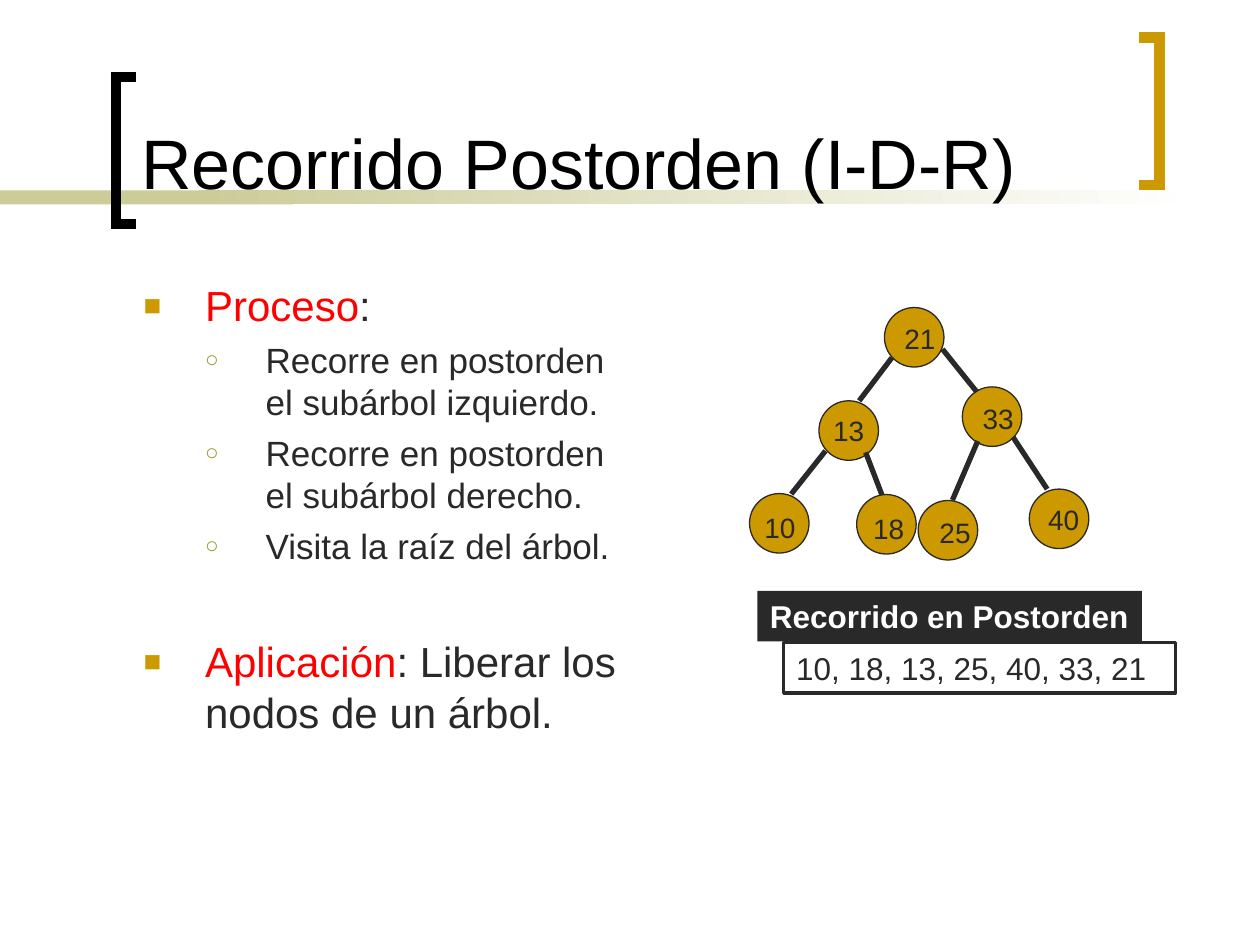
from lxml import etree
from pptx import Presentation
from pptx.dml.color import RGBColor
from pptx.enum import shapes, text
from pptx.oxml import ns
from pptx.util import Cm, Pt

BLACK = RGBColor(0x00, 0x00, 0x00)
WHITE = RGBColor(0xFF, 0xFF, 0xFF)
DARK = RGBColor(0x29, 0x29, 0x29)
GOLD = RGBColor(0xCC, 0x99, 0x00)
OLIVE = RGBColor(0x99, 0x99, 0x33)
SAND = RGBColor(0xCC, 0xCC, 0x99)
RED = RGBColor(0xFF, 0x00, 0x00)

RECTANGLE = shapes.MSO_SHAPE.RECTANGLE
NODE_SIZE = 1.2

# Value: node left and top, label left and top (cm); no label place = text in the node
NODES = {
    "21": ((17.83, 6.2), (17.98, 6.35)),
    "13": ((16.51, 8.08), None),
    "33": ((19.4, 7.8), (19.56, 7.98)),
    "10": ((15.11, 9.95), (15.16, 10.16)),
    "18": ((17.27, 9.97), (17.35, 10.19)),
    "25": ((18.51, 10.09), (18.69, 10.26)),
    "40": ((20.75, 9.86), (20.88, 10.01)),
}

# Branches from parent to child: x1, y1, x2, y2 (cm)
BRANCHES = [
    (17.98, 7.21, 17.32, 8.08),
    (16.64, 9.09, 15.95, 9.96),
    (19.0, 7.04, 19.69, 7.9),
    (20.42, 8.81, 21.11, 9.86),
    (17.45, 9.12, 17.78, 9.98),
    (19.71, 8.89, 19.2, 10.08),
]

# Level, space before (pt), coloured runs
OUTLINE = [
    (0, 6, [("Proceso", RED), (":", DARK)]),
    (1, 5, [("Recorre en postorden el subárbol izquierdo.", DARK)]),
    (1, 5, [("Recorre en postorden el subárbol derecho.", DARK)]),
    (1, 5, [("Visita la raíz del árbol.", DARK)]),
    (0, 39.6, [("Aplicación", RED), (": Liberar los nodos de un árbol.", DARK)]),
]

# Per level: text size, left margin, hanging indent (cm), bullet, colour, size in %
LEVELS = [
    (24, 1.24, 1.24, "■", GOLD, 70),
    (20, 2.46, 1.22, "○", OLIVE, 65),
]


def add_run(paragraph, content, size=16, color=DARK, bold=False):
    run = paragraph.add_run()
    run.text = content
    run.font.name = "Arial"
    run.font.size = Pt(size)
    run.font.bold = bold
    run.font.color.rgb = color


def write(shape, content, align=text.PP_ALIGN.LEFT, anchor=text.MSO_ANCHOR.TOP,
          wrap=True, **font):
    frame = shape.text_frame
    frame.word_wrap = wrap
    frame.auto_size = text.MSO_AUTO_SIZE.NONE
    frame.vertical_anchor = anchor
    paragraph = frame.paragraphs[0]
    paragraph.alignment = align
    add_run(paragraph, content, **font)


def place(shape, left, top, width, height):
    shape.left, shape.top = Cm(left), Cm(top)
    shape.width, shape.height = Cm(width), Cm(height)


def add_box(slide, kind, left, top, width, height, fill=None, line=None, weight=0.75):
    shape = slide.shapes.add_shape(kind, Cm(left), Cm(top), Cm(width), Cm(height))
    shape.shadow.inherit = False
    if fill is None:
        shape.fill.background()
    else:
        shape.fill.solid()
        shape.fill.fore_color.rgb = fill
    if line is None:
        shape.line.fill.background()
    else:
        shape.line.color.rgb = line
        shape.line.width = Pt(weight)
    return shape


def add_bracket(slide, open_x, spine_x, top, color):
    bottom = top + 2.97
    builder = slide.shapes.build_freeform(Cm(open_x), Cm(top))
    corners = [(spine_x, top), (spine_x, bottom), (open_x, bottom)]
    builder.add_line_segments([(Cm(x), Cm(y)) for x, y in corners], close=False)
    bracket = builder.convert_to_shape()
    bracket.shadow.inherit = False
    bracket.fill.background()
    bracket.line.color.rgb = color
    bracket.line.width = Pt(6)
    line = bracket.element.spPr.find(ns.qn("a:ln"))
    etree.SubElement(line, ns.qn("a:miter"), lim="800000")


def add_branch(slide, x1, y1, x2, y2):
    branch = slide.shapes.add_connector(
        shapes.MSO_CONNECTOR.STRAIGHT, Cm(x1), Cm(y1), Cm(x2), Cm(y2))
    branch.line.color.rgb = DARK
    branch.line.width = Pt(3)
    etree.SubElement(branch.element.spPr, ns.qn("a:effectLst"))


def set_bullet(paragraph, left, hanging, character, color, percent):
    properties = paragraph._p.get_or_add_pPr()
    properties.set("marL", str(Cm(left)))
    properties.set("indent", str(-Cm(hanging)))
    bullet_color = etree.SubElement(properties, ns.qn("a:buClr"))
    etree.SubElement(bullet_color, ns.qn("a:srgbClr"), val=str(color))
    etree.SubElement(properties, ns.qn("a:buSzPct"), val=str(percent * 1000))
    etree.SubElement(properties, ns.qn("a:buFont"), typeface="Arial")
    etree.SubElement(properties, ns.qn("a:buChar"), char=character)


def add_decoration(slide):
    add_box(slide, RECTANGLE, 0, 3.84, 5.92, 0.28, fill=SAND)
    fade = add_box(slide, RECTANGLE, 4.01, 3.84, 20.12, 0.28, fill=SAND)
    fade.fill.gradient()
    fade.fill.gradient_angle = 0
    for stop, color in zip(fade.fill.gradient_stops, (SAND, WHITE)):
        stop.color.rgb = color
    add_bracket(slide, 2.74, 2.34, 1.55, BLACK)
    add_bracket(slide, 22.96, 23.37, 0.76, GOLD)


def fill_outline(body):
    place(body, 2.64, 5.51, 10.44, 11.43)
    frame = body.text_frame
    frame.auto_size = text.MSO_AUTO_SIZE.NONE
    for index, (level, space, runs) in enumerate(OUTLINE):
        paragraph = frame.add_paragraph() if index else frame.paragraphs[0]
        size, *bullet = LEVELS[level]
        paragraph.level = level
        paragraph.space_before = Pt(space)
        set_bullet(paragraph, *bullet)
        for content, color in runs:
            add_run(paragraph, content, size=size, color=color)


def add_tree(slide):
    circles = {
        value: add_box(slide, shapes.MSO_SHAPE.OVAL, *corner, NODE_SIZE, NODE_SIZE,
                       fill=GOLD, line=DARK)
        for value, (corner, _) in NODES.items()
    }
    for branch in BRANCHES:
        add_branch(slide, *branch)
    for value, (_, label) in NODES.items():
        if label is None:
            write(circles[value], value, align=text.PP_ALIGN.CENTER,
                  anchor=text.MSO_ANCHOR.MIDDLE, wrap=False)
        else:
            left, top = label
            write(slide.shapes.add_textbox(Cm(left), Cm(top), Cm(1.37), Cm(0.94)), value)


def main():
    presentation = Presentation()
    presentation.slide_width, presentation.slide_height = Cm(25.4), Cm(19.05)
    slide = presentation.slides.add_slide(presentation.slide_layouts[1])

    # Decoration lies behind the title and the list
    title, body = slide.placeholders
    add_decoration(slide)
    for placeholder in (title, body):
        slide.shapes.element.append(placeholder.element)

    # Title and list
    place(title, 2.59, 0.28, 19.89, 3.94)
    write(title, "Recorrido Postorden (I-D-R)", anchor=text.MSO_ANCHOR.BOTTOM,
          size=40, color=BLACK)
    fill_outline(body)

    # Tree and its traversal
    result = add_box(slide, RECTANGLE, 15.8, 12.95, 7.9, 1.02, line=DARK, weight=2)
    write(result, "10, 18, 13, 25, 40, 33, 21", size=18)
    add_tree(slide)
    heading = add_box(slide, RECTANGLE, 15.27, 11.91, 7.75, 1.02, fill=DARK)
    write(heading, "Recorrido en Postorden", wrap=False, size=18, color=WHITE, bold=True)

    presentation.save("out.pptx")


if __name__ == "__main__":
    main()
